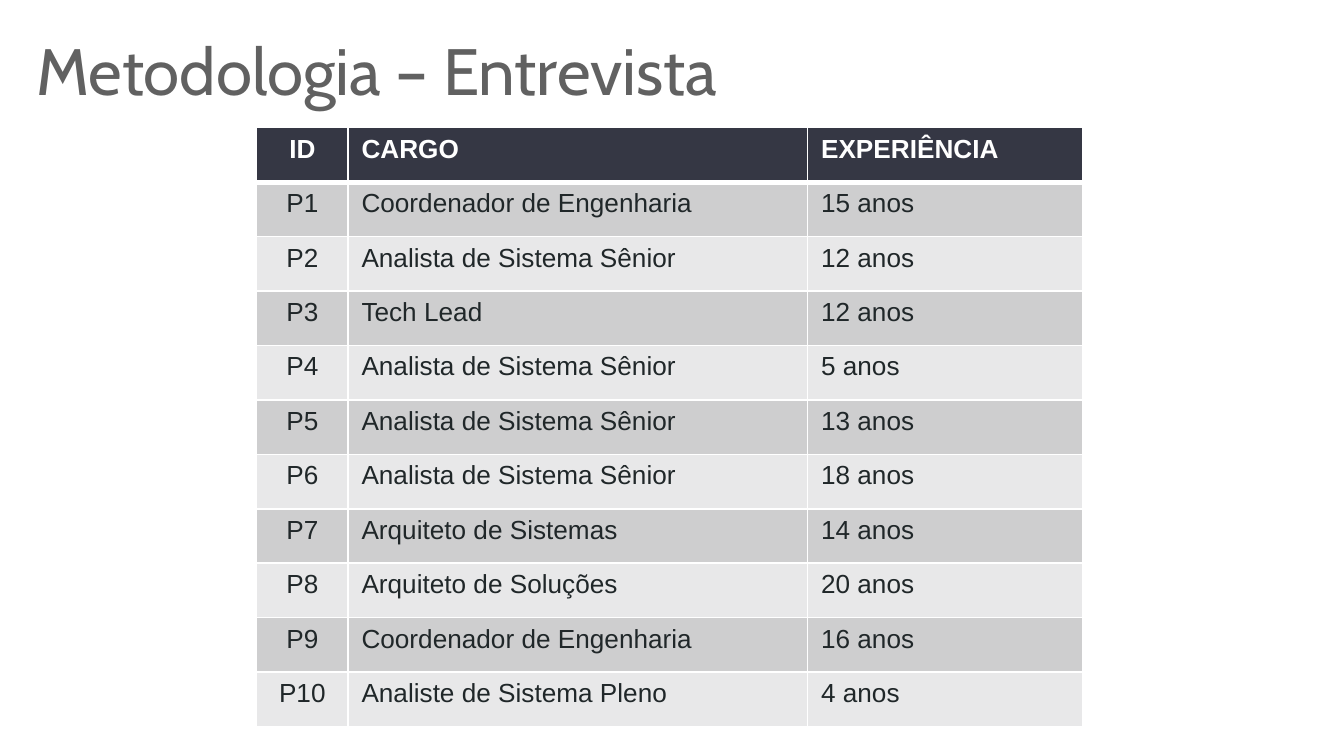
from dataclasses import dataclass
from typing import NamedTuple

from lxml.etree import SubElement
from pptx import Presentation
from pptx.dml.color import RGBColor as Color
from pptx.enum.text import MSO_ANCHOR as Anchor, PP_ALIGN as Align
from pptx.oxml.ns import qn
from pptx.slide import Slide
from pptx.table import _Cell as Cell
from pptx.util import Inches, Pt


@dataclass(frozen=True)
class Theme:
    title_font: str = "Cabin"
    body_font: str = "Arial"
    title_size: float = 35.1
    body_size: float = 14
    title: str = "616161"
    text: str = "202729"
    header_text: str = "FFFFFF"
    header_fill: str = "353744"
    bands: tuple[str, str] = ("CECECF", "E8E8E9")
    border: str = "FFFFFF"
    thin: float = 1
    thick: float = 3


class Participant(NamedTuple):
    role: str
    years: int


THEME = Theme()
PAGE_WIDTH = 10
PAGE_HEIGHT = PAGE_WIDTH * 9 / 16
HEADINGS = ("ID", "CARGO", "EXPERIÊNCIA")
COLUMN_WIDTHS = (0.68, 3.42, 2.05)
TABLE_HEIGHT = 4.46
SENIOR_ANALYST = "Analista de Sistema Sênior"
PARTICIPANTS = (
    Participant("Coordenador de Engenharia", 15),
    Participant(SENIOR_ANALYST, 12),
    Participant("Tech Lead", 12),
    Participant(SENIOR_ANALYST, 5),
    Participant(SENIOR_ANALYST, 13),
    Participant(SENIOR_ANALYST, 18),
    Participant("Arquiteto de Sistemas", 14),
    Participant("Arquiteto de Soluções", 20),
    Participant("Coordenador de Engenharia", 16),
    Participant("Analiste de Sistema Pleno", 4),
)


def add_title(page: Slide, text: str) -> None:
    box = page.shapes.add_textbox(Inches(0.27), Inches(0.22), Inches(9.25), Inches(0.49))
    frame = box.text_frame
    frame.word_wrap = True
    frame.vertical_anchor = Anchor.TOP
    frame.margin_left = frame.margin_right = frame.margin_top = frame.margin_bottom = 0
    para = frame.paragraphs[0]
    para.text = text
    para.font.name = THEME.title_font
    para.font.size = Pt(THEME.title_size)
    para.font.color.rgb = Color.from_string(THEME.title)


def set_borders(cell: Cell, top: float, bottom: float) -> None:
    """Draw the four cell borders; must run before the fill is set."""
    properties = cell._tc.get_or_add_tcPr()
    widths = {"lnL": THEME.thin, "lnR": THEME.thin, "lnT": top, "lnB": bottom}
    for side, width in widths.items():
        line = SubElement(properties, qn(f"a:{side}"), w=str(Pt(width)))
        fill = SubElement(line, qn("a:solidFill"))
        SubElement(fill, qn("a:srgbClr"), val=THEME.border)


def style_cell(cell: Cell, text: str, row: int, column: int) -> None:
    is_header = row == 0
    set_borders(
        cell,
        top=THEME.thick if row == 1 else THEME.thin,
        bottom=THEME.thick if is_header else THEME.thin,
    )
    fill = THEME.header_fill if is_header else THEME.bands[(row - 1) % 2]
    cell.fill.solid()
    cell.fill.fore_color.rgb = Color.from_string(fill)

    cell.text = text
    para = cell.text_frame.paragraphs[0]
    para.alignment = Align.CENTER if column == 0 else Align.LEFT
    para.font.name = THEME.body_font
    para.font.size = Pt(THEME.body_size)
    para.font.bold = is_header
    color = THEME.header_text if is_header else THEME.text
    para.font.color.rgb = Color.from_string(color)


def add_participants(page: Slide, participants: tuple[Participant, ...]) -> None:
    rows = [HEADINGS] + [
        (f"P{number}", person.role, f"{person.years} anos")
        for number, person in enumerate(participants, start=1)
    ]
    table = page.shapes.add_table(
        len(rows), len(HEADINGS),
        Inches(1.91), Inches(0.95), Inches(sum(COLUMN_WIDTHS)), Inches(TABLE_HEIGHT),
    ).table
    for column, width in zip(table.columns, COLUMN_WIDTHS):
        column.width = Inches(width)
    for row, texts in enumerate(rows):
        table.rows[row].height = Inches(TABLE_HEIGHT / len(rows))
        for column, text in enumerate(texts):
            style_cell(table.cell(row, column), text, row, column)


def main() -> None:
    deck = Presentation()
    deck.slide_width, deck.slide_height = Inches(PAGE_WIDTH), Inches(PAGE_HEIGHT)
    page = deck.slides.add_slide(deck.slide_layouts[6])
    add_title(page, "Metodologia – Entrevista")
    add_participants(page, PARTICIPANTS)
    deck.save("out.pptx")


if __name__ == "__main__":
    main()
